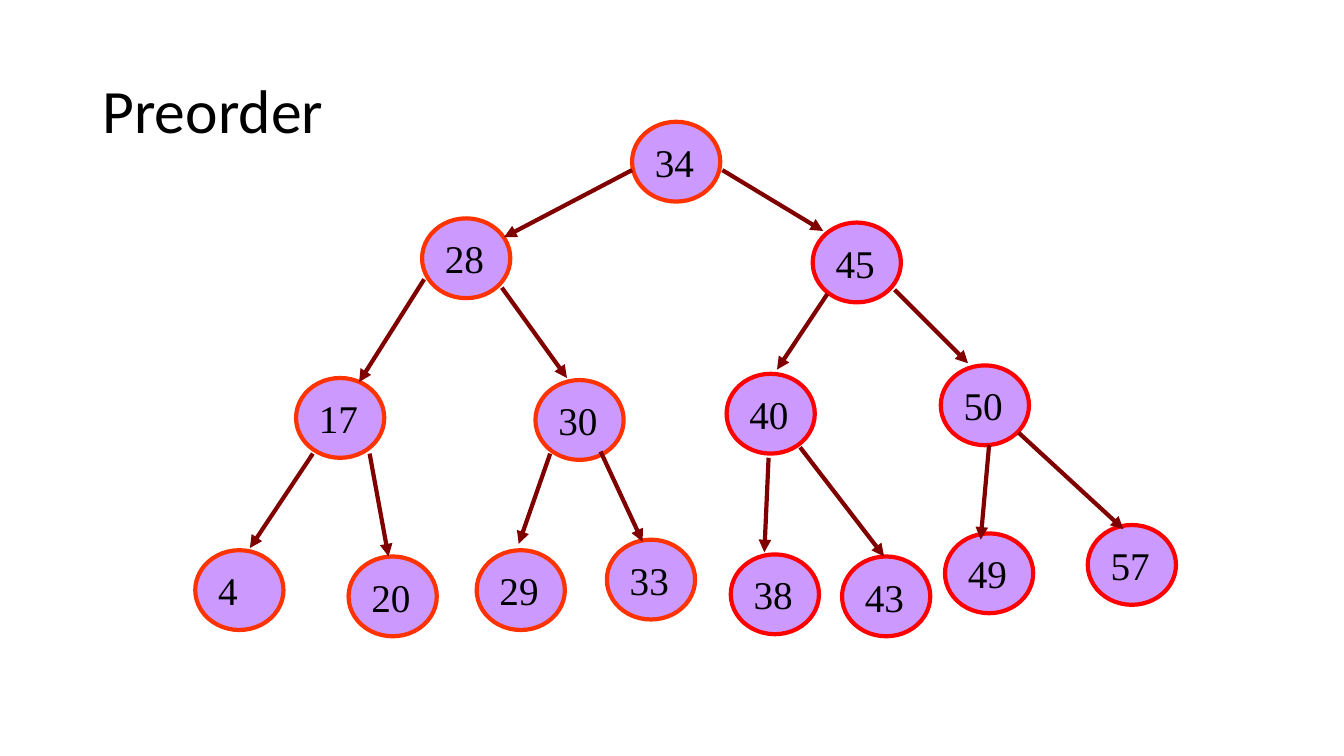
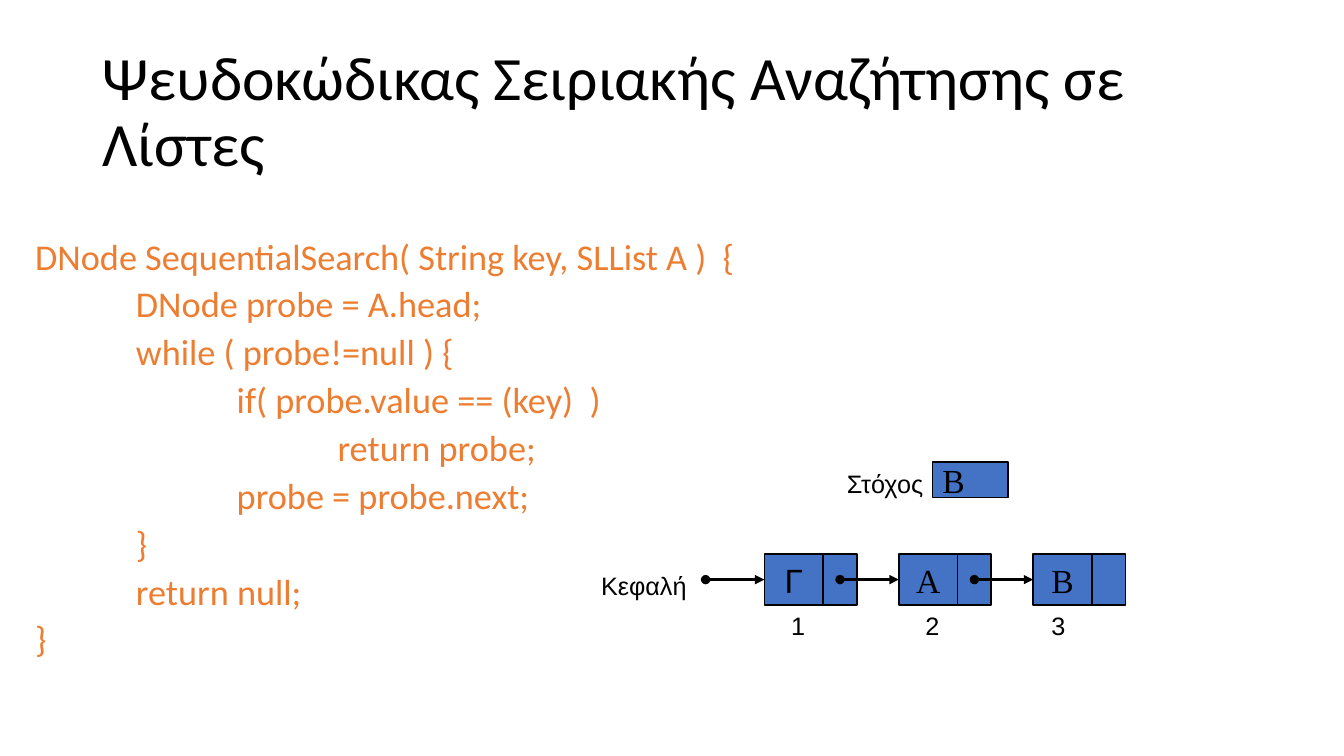
from typing import NamedTuple, Optional

from lxml import etree
from pptx import Presentation, util as u
from pptx.dml.color import RGBColor
from pptx.enum import shapes, text
from pptx.oxml import ns

COLS, ROWS = 640, 360
COLORS = {
    "ink": "000000",
    "code": "ED7D31",
    "cell": "4472C4",
    "node": "CC99FF",
    "left_ring": "FF3300",
    "right_ring": "FF0000",
    "branch": "800000",
}
SERIF, SANS, BODY = "Times New Roman", "Arial", "Calibri"

prs = Presentation()
prs.slide_width, prs.slide_height = u.Inches(13.33), u.Inches(7.5)


class Box(NamedTuple):
    col: float
    row: float
    cols: float
    rows: float


class Edge(NamedTuple):
    col1: float
    row1: float
    col2: float
    row2: float


class TreeNode(NamedTuple):
    value: int
    col: int
    row: int
    edge: Optional[Edge] = None


class ListCell(NamedTuple):
    value: str
    font: str
    label_col: int


class CodeLine(NamedTuple):
    level: int
    code: str


TITLE = Box(44, 19, 552, 70)
NODE_COLS, NODE_ROWS = 42, 38
ROOT_VALUE = 34
TREE = [
    TreeNode(34, 301, 58),
    TreeNode(28, 201, 104, Edge(301, 81, 240, 113)),
    TreeNode(17, 141, 180, Edge(202, 133, 171, 182)),
    TreeNode(45, 387, 106, Edge(344, 81, 392, 110)),
    TreeNode(4, 93, 262, Edge(149, 216, 119, 261)),
    TreeNode(50, 448, 174, Edge(426, 138, 461, 173)),
    TreeNode(30, 255, 181, Edge(239, 137, 270, 180)),
    TreeNode(40, 346, 178, Edge(394, 140, 370, 176)),
    TreeNode(33, 289, 257, Edge(286, 215, 306, 258)),
    TreeNode(57, 518, 250, Edge(485, 206, 535, 252)),
    TreeNode(49, 450, 254, Edge(471, 212, 467, 257)),
    TreeNode(20, 166, 265, Edge(176, 216, 185, 265)),
    TreeNode(29, 227, 262, Edge(262, 216, 247, 259)),
    TreeNode(38, 348, 264, Edge(366, 218, 364, 263)),
    TreeNode(43, 401, 265, Edge(381, 213, 421, 265)),
]

CODE = [
    CodeLine(0, "DNode SequentialSearch( String key, SLList Α )  {"),
    CodeLine(1, "DNode probe = Α.head;"),
    CodeLine(1, "while ( probe!=null ) {"),
    CodeLine(2, "if( probe.value == (key)  )"),
    CodeLine(3, "return probe;"),
    CodeLine(2, "probe = probe.next;"),
    CodeLine(1, "}"),
    CodeLine(1, "return null;"),
    CodeLine(0, "}"),
]

LIST_COL, LIST_ROW, LIST_PITCH = 364, 264, 64
VALUE_COLS, LINK_COLS, CELL_ROWS = 28, 16, 24
CELLS = [ListCell("Γ", SANS, 372), ListCell("A", SERIF, 436), ListCell("B", SERIF, 496)]


def x(cols: float) -> int:
    return round(prs.slide_width * cols / COLS)


def y(rows: float) -> int:
    return round(prs.slide_height * rows / ROWS)


def frame(box: Box) -> tuple:
    return x(box.col), y(box.row), x(box.cols), y(box.rows)


def rgb(name: str) -> RGBColor:
    return RGBColor.from_string(COLORS[name])


def add_run(p, words: str, size: float, font: str, color: str = "ink") -> None:
    r = p.add_run()
    r.text = words
    r.font.size, r.font.name = u.Pt(size), font
    r.font.color.rgb = rgb(color)


def write(sp, words: str, size: float, font: str, align=text.PP_ALIGN.LEFT) -> None:
    tf = sp.text_frame
    tf.word_wrap = False
    tf.vertical_anchor = text.MSO_ANCHOR.MIDDLE
    p = tf.paragraphs[0]
    p.alignment = align
    add_run(p, words, size, font)


def add_slide(title: str):
    s = prs.slides.add_slide(prs.slide_layouts[5])
    sp = s.shapes.title
    sp.left, sp.top, sp.width, sp.height = frame(TITLE)
    tf = sp.text_frame
    tf.auto_size = text.MSO_AUTO_SIZE.NONE
    tf.word_wrap = True
    tf.vertical_anchor = text.MSO_ANCHOR.MIDDLE
    p = tf.paragraphs[0]
    p.alignment, p.line_spacing = text.PP_ALIGN.LEFT, 0.9
    add_run(p, title, 44, BODY)
    return s


def add_shape(s, kind, box: Box, fill: str, line: str, width: float):
    sp = s.shapes.add_shape(kind, *frame(box))
    sp.shadow.inherit = False
    sp.fill.solid()
    sp.fill.fore_color.rgb = rgb(fill)
    sp.line.color.rgb = rgb(line)
    sp.line.width = u.Pt(width)
    return sp


def add_line(s, edge: Edge, color: str, width: float, head: str = "none", tail: str = "triangle"):
    cx = s.shapes.add_connector(
        shapes.MSO_CONNECTOR.STRAIGHT, x(edge.col1), y(edge.row1), x(edge.col2), y(edge.row2))
    cx.line.color.rgb = rgb(color)
    cx.line.width = u.Pt(width)
    ln = cx.line._get_or_add_ln()
    for tag, kind in (("a:headEnd", head), ("a:tailEnd", tail)):
        etree.SubElement(ln, ns.qn(tag), type=kind)
    etree.SubElement(cx._element.spPr, ns.qn("a:effectLst"))
    return cx


def add_label(s, words: str, col: float, row: float, cols: float) -> None:
    sp = s.shapes.add_textbox(*frame(Box(col, row, cols, 20)))
    write(sp, words, 18, SANS)


def draw_node(s, node: TreeNode) -> None:
    ring = "right_ring" if node.value > ROOT_VALUE else "left_ring"
    box = Box(node.col, node.row, NODE_COLS, NODE_ROWS)
    sp = add_shape(s, shapes.MSO_SHAPE.OVAL, box, "node", ring, 3)
    write(sp, str(node.value), 28, SERIF)
    if node.edge:
        add_line(s, node.edge, "branch", 3)


def draw_code(s) -> None:
    tf = s.shapes.add_textbox(*frame(Box(0, 113, 440, 216))).text_frame
    tf.word_wrap = True
    for i, line in enumerate(CODE):
        p = tf.paragraphs[0] if i == 0 else tf.add_paragraph()
        p.line_spacing = 0.8
        p.space_before = u.Pt(9.3 if i else 0)
        p._p.get_or_add_pPr().set("marL", str(u.Inches(0.25 + line.level)))
        add_run(p, line.code, 25.9, BODY, "code")


def draw_list(s) -> None:
    rect = shapes.MSO_SHAPE.RECTANGLE
    middle = LIST_ROW + CELL_ROWS / 2
    values = []
    for i, cell in enumerate(CELLS):
        col = LIST_COL + i * LIST_PITCH
        sp = add_shape(s, rect, Box(col, LIST_ROW, VALUE_COLS, CELL_ROWS), "cell", "ink", 1.25)
        write(sp, cell.value, 24, cell.font, text.PP_ALIGN.CENTER)
        values.append(sp)
        link = Box(col + VALUE_COLS, LIST_ROW, LINK_COLS, CELL_ROWS)
        add_shape(s, rect, link, "cell", "ink", 1.25)
        add_label(s, str(i + 1), cell.label_col, 288, 20)
    for i, sp in enumerate(values):
        col = LIST_COL + i * LIST_PITCH
        arrow = add_line(s, Edge(col - VALUE_COLS, middle, col, middle), "ink", 2.25, "oval")
        arrow.end_connect(sp, 1)
    end = LIST_COL + len(CELLS) * LIST_PITCH - VALUE_COLS
    add_line(s, Edge(end, middle, end, middle), "ink", 2.25, "oval", "oval")


def main() -> None:
    s = add_slide("Preorder")
    for node in TREE:
        draw_node(s, node)

    s = add_slide("Ψευδοκώδικας Σειριακής Αναζήτησης σε Λίστες")
    draw_code(s)
    target = add_shape(s, shapes.MSO_SHAPE.RECTANGLE, Box(444, 220, 36, 17), "cell", "ink", 1)
    write(target, "B", 24, SERIF)
    add_label(s, "Στόχος", 398.5, 220, 48)
    add_label(s, "Κεφαλή", 281.5, 269, 52)
    draw_list(s)

    prs.save("out.pptx")


if __name__ == "__main__":
    main()
